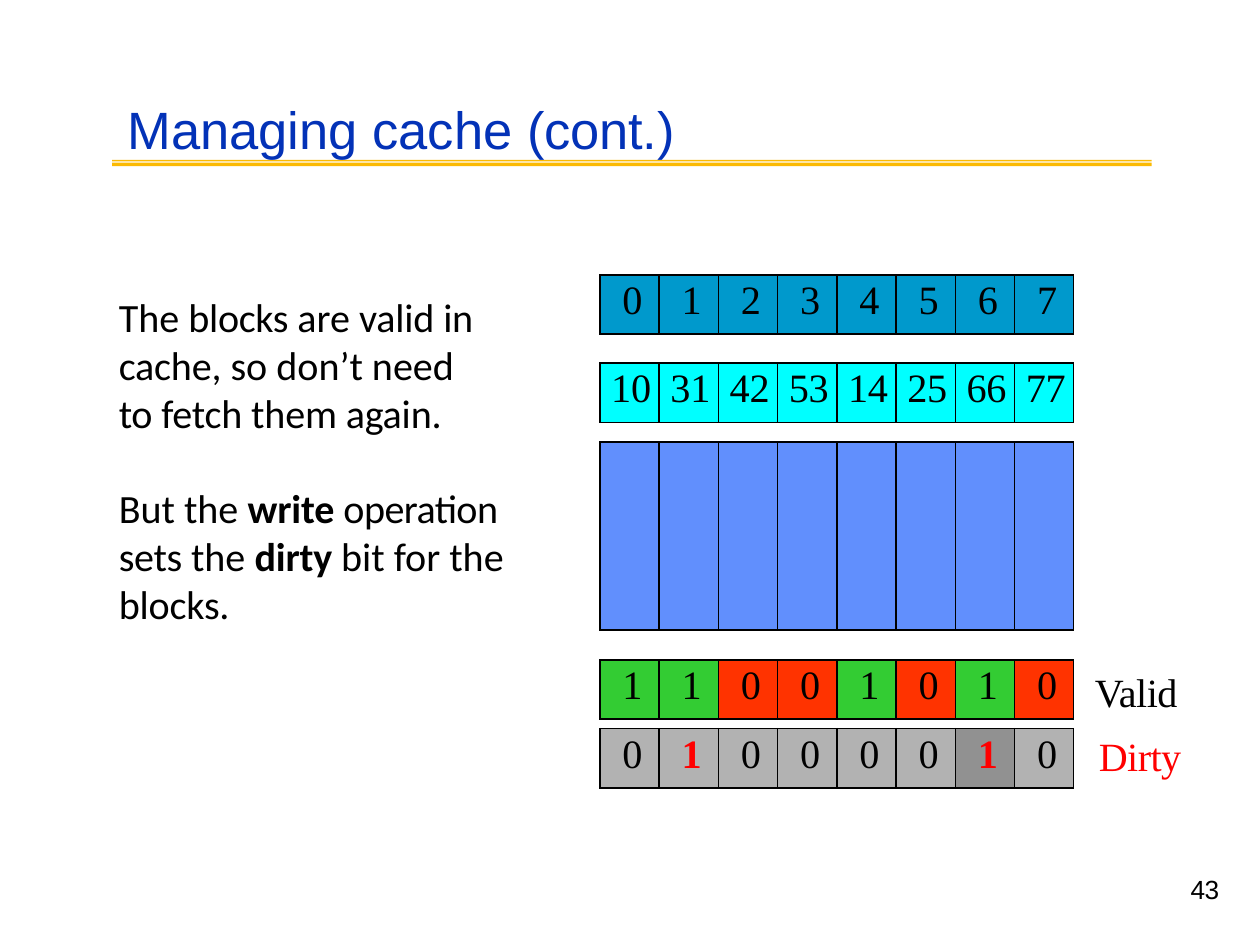
from dataclasses import dataclass

from lxml import etree
from pptx import Presentation
from pptx import util as u
from pptx.dml.color import RGBColor
from pptx.oxml import ns

COLORS = {
    "black": "000000", "red": "FF0000", "title": "0332B7", "rule": "FBBA03",
    "index": "0099CC", "tag": "00FFFF", "data": "618FFD",
    "valid": "33CC33", "invalid": "FF3300", "bit": "B2B2B2", "dirty": "919191",
}
GRID_LEFT, CELL_WIDTH, CELL_HEIGHT = 342.8, 33.86, 33.84
SERIF = "Times New Roman"


@dataclass
class Run:
    text: str
    spacing: float = 0
    color: str = "black"
    bold: bool = False


@dataclass
class Box:
    left: float
    top: float
    width: float
    height: float
    font: str
    size: float
    paragraphs: list[list[Run]]
    inset: float = 0
    margin: float = 0.9
    indent: float = 0
    line_spacing: object = None
    gap: float = 0


@dataclass
class CacheRow:
    top: float
    values: list[str]
    fills: list[str]
    height: float = CELL_HEIGHT
    indent: float = 12.9
    spacing: float = -0.5
    highlight: str = ""


def rgb(name: str) -> RGBColor:
    return RGBColor.from_string(COLORS[name])


def indent_paragraph(paragraph, margin: float, indent: float = 0) -> None:
    properties = paragraph._p.get_or_add_pPr()
    properties.set("marL", str(int(u.Pt(margin))))
    properties.set("indent", str(int(u.Pt(indent))))


def format_run(run, style: Run, font: str, size: float) -> None:
    run.font.name, run.font.size = font, u.Pt(size)
    run.font.bold = style.bold
    run.font.color.rgb = rgb(style.color)
    run._r.get_or_add_rPr().set("spc", str(round(style.spacing * 100)))


def draw_box(slide, box: Box) -> None:
    shape = slide.shapes.add_textbox(
        u.Pt(box.left), u.Pt(box.top), u.Pt(box.width), u.Pt(box.height))
    frame = shape.text_frame
    frame.word_wrap = True
    frame.margin_left = frame.margin_right = frame.margin_bottom = 0
    frame.margin_top = u.Pt(box.inset)
    for number, runs in enumerate(box.paragraphs):
        paragraph = frame.add_paragraph() if number else frame.paragraphs[0]
        indent_paragraph(paragraph, box.margin, box.indent)
        if box.line_spacing:
            paragraph.line_spacing = box.line_spacing
        if number:
            paragraph.space_before = u.Pt(box.gap)
        for style in runs:
            if style.text == "\n":
                paragraph.add_line_break()
                continue
            run = paragraph.add_run()
            run.text = style.text
            format_run(run, style, box.font, box.size)


def add_borders(cell) -> None:
    properties = cell._tc.get_or_add_tcPr()
    for side in ("a:lnL", "a:lnR", "a:lnT", "a:lnB"):
        line = etree.SubElement(properties, ns.qn(side), w=str(int(u.Pt(1))))
        fill = etree.SubElement(line, ns.qn("a:solidFill"))
        etree.SubElement(fill, ns.qn("a:srgbClr"), val=COLORS["black"])


def draw_cache_row(slide, row: CacheRow) -> None:
    count = len(row.fills)
    table = slide.shapes.add_table(
        1, count, u.Pt(GRID_LEFT), u.Pt(row.top),
        u.Pt(CELL_WIDTH * count), u.Pt(row.height)).table
    table.first_row = table.horz_banding = False
    table.rows[0].height = u.Pt(row.height)
    for column, value, fill in zip(range(count), row.values, row.fills):
        table.columns[column].width = u.Pt(CELL_WIDTH)
        cell = table.cell(0, column)
        cell.margin_left = cell.margin_right = cell.margin_bottom = 0
        cell.margin_top = u.Pt(2.16)
        add_borders(cell)
        cell.fill.solid()
        cell.fill.fore_color.rgb = rgb(fill)
        if value:
            paragraph = cell.text_frame.paragraphs[0]
            paragraph.text = value
            indent_paragraph(paragraph, row.indent)
            marked = value == row.highlight
            style = Run(value, row.spacing, "red" if marked else "black", marked)
            format_run(paragraph.runs[0], style, SERIF, 23)


def draw_title_rule(slide) -> None:
    left, right = 64, 658
    bands = [(92.9, 95), (91.4, 92.2)]
    builder = slide.shapes.build_freeform(u.Pt(right), u.Pt(bands[0][0]))
    for top, bottom in bands:
        builder.move_to(u.Pt(right), u.Pt(top))
        corners = [(left, top), (left, bottom), (right, bottom)]
        builder.add_line_segments([(u.Pt(x), u.Pt(y)) for x, y in corners])
    shape = builder.convert_to_shape()
    shape.shadow.inherit = False
    shape.fill.solid()
    shape.fill.fore_color.rgb = rgb("rule")
    shape.line.fill.background()


def main() -> None:
    presentation = Presentation()
    presentation.slide_width, presentation.slide_height = u.Pt(720), u.Pt(540)
    slide = presentation.slides.add_slide(presentation.slide_layouts[6])

    # Title and its double rule
    draw_title_rule(slide)
    draw_box(slide, Box(72, 54, 408, 37.4, "Arial", 30, [
        [Run("Managing cache", 0, "title"), Run(" (cont.)", -0.1, "title")],
    ], inset=1.6))

    # Cache: data, valid bits, dirty bits, block indexes, tags
    valid_bits, dirty_bits = "11001010", "01000010"
    rows = [
        CacheRow(252.6, [""] * 8, ["data"] * 8, height=107.3),
        CacheRow(377, list(valid_bits),
                 ["valid" if bit == "1" else "invalid" for bit in valid_bits]),
        CacheRow(416.4, list(dirty_bits), ["bit"] * 6 + ["dirty", "bit"],
                 highlight="1"),
        CacheRow(157, list("01234567"), ["index"] * 8),
        CacheRow(207.5, "10 31 42 53 14 25 66 77".split(), ["tag"] * 8,
                 indent=6.5, spacing=-0.2),
    ]
    for row in rows:
        draw_cache_row(slide, row)

    # Explanation
    line_break = Run("\n")
    draw_box(slide, Box(67, 163.4, 260, 165.6, "Calibri", 22.9, [
        [Run("The "), Run("blocks ", -0.2), Run("are "), Run("valid ", -0.1),
         Run("in", -0.2), line_break,
         Run("cache, ", -0.1), Run("so don’t need"), line_break,
         Run("to ", -0.2), Run("fetch them again.", -0.1)],
        [Run("But the "), Run("write ", -0.1, bold=True),
         Run("operation", -0.3), line_break,
         Run("sets ", -0.2), Run("the "), Run("dirty ", -0.1, bold=True),
         Run("bit for the"), line_break, Run("blocks.", -0.1)],
    ], inset=4, line_spacing=u.Pt(27.4), gap=26.5))

    # Row labels
    draw_box(slide, Box(625, 370.8, 51.8, 71.3, SERIF, 22.9, [
        [Run("Valid ", -0.3), Run("Dirty", -0.3, "red")],
    ], inset=1.6, margin=2.9, indent=-2.2, line_spacing=1.33))

    # Slide number
    draw_box(slide, Box(669.6, 499.7, 28.8, 34.6, "Arial", 15, [
        [Run("43", -0.4)],
    ], margin=10.8, line_spacing=u.Pt(17.5)))

    presentation.save("out.pptx")


if __name__ == "__main__":
    main()
